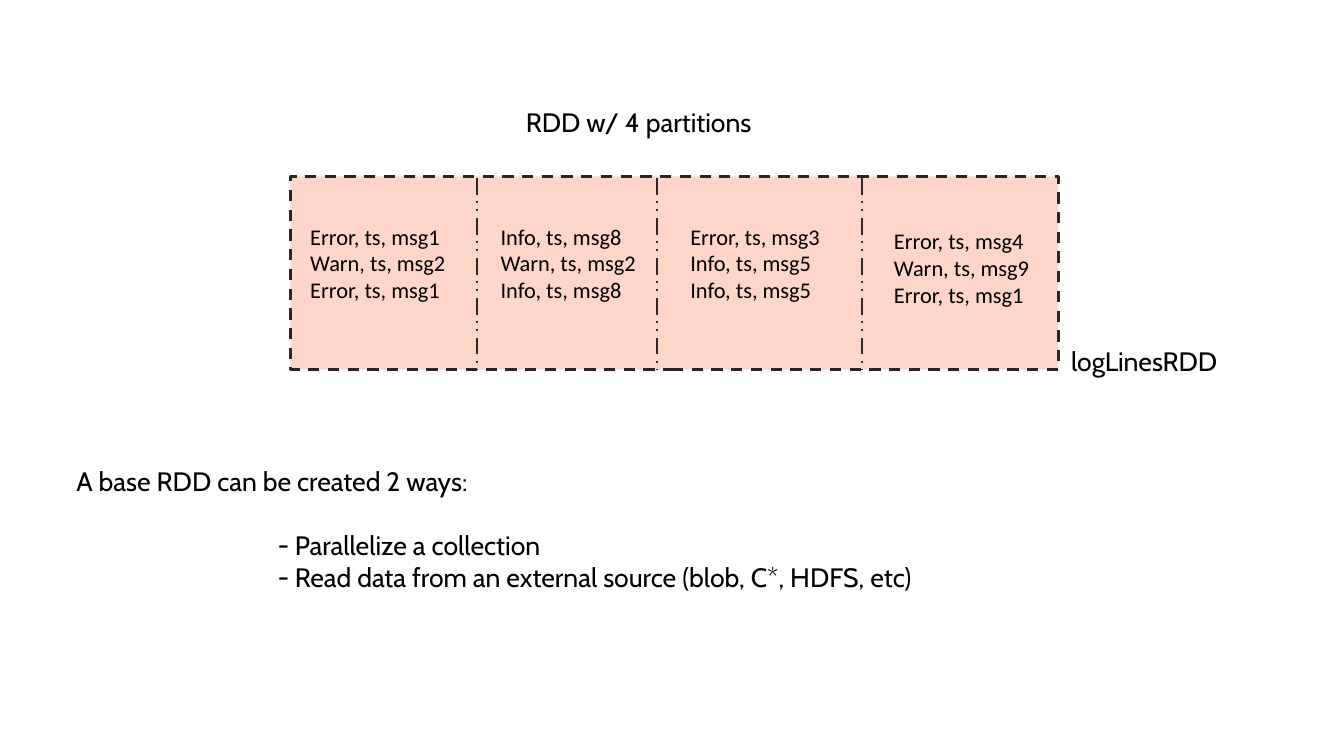
from lxml.etree import SubElement
from pptx import Presentation
from pptx.dml.color import RGBColor
from pptx.enum.dml import MSO_LINE
from pptx.enum.shapes import MSO_CONNECTOR, MSO_SHAPE
from pptx.enum.text import MSO_AUTO_SIZE
from pptx.oxml.ns import qn
from pptx.util import Pt


def color(hex_string):
    return RGBColor.from_string(hex_string)


class RddSlide:
    heading_font, log_font = "Cabin", "Calibri"
    heading_size, log_size = 19, 16
    text_color = "000000"
    partition_fill, border, divider = "FDD6C9", "272727", "2B2B2B"

    def __init__(self, deck):
        self.slide = deck.slides.add_slide(deck.slide_layouts[6])

    def dataset(self, left, top, width, height):
        block = self.slide.shapes.add_shape(
            MSO_SHAPE.RECTANGLE, Pt(left), Pt(top), Pt(width), Pt(height))
        block.shadow.inherit = False
        block.fill.solid()
        block.fill.fore_color.rgb = color(self.partition_fill)
        self.stroke(block.line, self.border, 2, MSO_LINE.DASH)

    def boundary(self, x, top, bottom):
        edge = self.slide.shapes.add_connector(
            MSO_CONNECTOR.STRAIGHT, Pt(x), Pt(top), Pt(x), Pt(bottom))
        self.stroke(edge.line, self.divider, 1.5, MSO_LINE.DASH_DOT_DOT)
        SubElement(edge._element.spPr, qn("a:effectLst"))

    def stroke(self, line, hex_string, width, dash):
        line.color.rgb = color(hex_string)
        line.width = Pt(width)
        line.dash_style = dash

    def text(self, left, top, width, height, lines, font, size):
        frame = self.slide.shapes.add_textbox(
            Pt(left), Pt(top), Pt(width), Pt(height)).text_frame
        frame.word_wrap = True
        frame.auto_size = MSO_AUTO_SIZE.SHAPE_TO_FIT_TEXT
        for number, line in enumerate(lines):
            paragraph = frame.add_paragraph() if number else frame.paragraphs[0]
            run = paragraph.add_run()
            run.text = line
            run.font.name = font
            run.font.size = Pt(size)
            run.font.color.rgb = color(self.text_color)
        return frame.paragraphs

    def heading(self, left, top, width, height, *lines):
        return self.text(left, top, width, height, lines,
                         self.heading_font, self.heading_size)

    def log_lines(self, left, top, width, lines):
        self.text(left, top, width, 65.5, lines, self.log_font, self.log_size)

    def dash_item(self, paragraph, indent, hanging):
        properties = paragraph._p.get_or_add_pPr()
        properties.set("marL", str(Pt(indent + hanging)))
        properties.set("indent", str(-Pt(hanging)))
        SubElement(properties, qn("a:buFont")).set("typeface", self.heading_font)
        SubElement(properties, qn("a:buChar")).set("char", "-")


def main():
    deck = Presentation()
    deck.slide_width, deck.slide_height = Pt(960), Pt(540)
    rdd = RddSlide(deck)

    rdd.dataset(207.5, 126, 548.5, 138)
    for x in (340.5, 469.5, 615.5):
        rdd.boundary(x, 127, 264)

    partitions = (
        (214.5, 155.5, 117.5, ("Error, ts, msg1", "Warn, ts, msg2", "Error, ts, msg1")),
        (350.5, 155.5, 117.5, ("Info, ts, msg8", "Warn, ts, msg2", "Info, ts, msg8")),
        (486, 155.5, 117.5, ("Error, ts, msg3", "Info, ts, msg5", "Info, ts, msg5")),
        (631.5, 159, 149, ("Error, ts, msg4", "Warn, ts, msg9", "Error, ts, msg1")),
    )
    for left, top, width, lines in partitions:
        rdd.log_lines(left, top, width, lines)

    rdd.heading(368.5, 72, 306.5, 30, "RDD w/ 4 partitions")
    rdd.heading(758, 242.5, 150.5, 30, "logLinesRDD")

    intro, *ways = rdd.heading(
        47.5, 328.5, 877.5, 99.5,
        "A base RDD can be created 2 ways:",
        "Parallelize a collection",
        "Read data from an external source (blob, C*, HDFS, etc)")
    for way in ways:
        rdd.dash_item(way, 144, 12)
    ways[0].space_before = Pt(23)

    deck.save("out.pptx")


if __name__ == "__main__":
    main()
